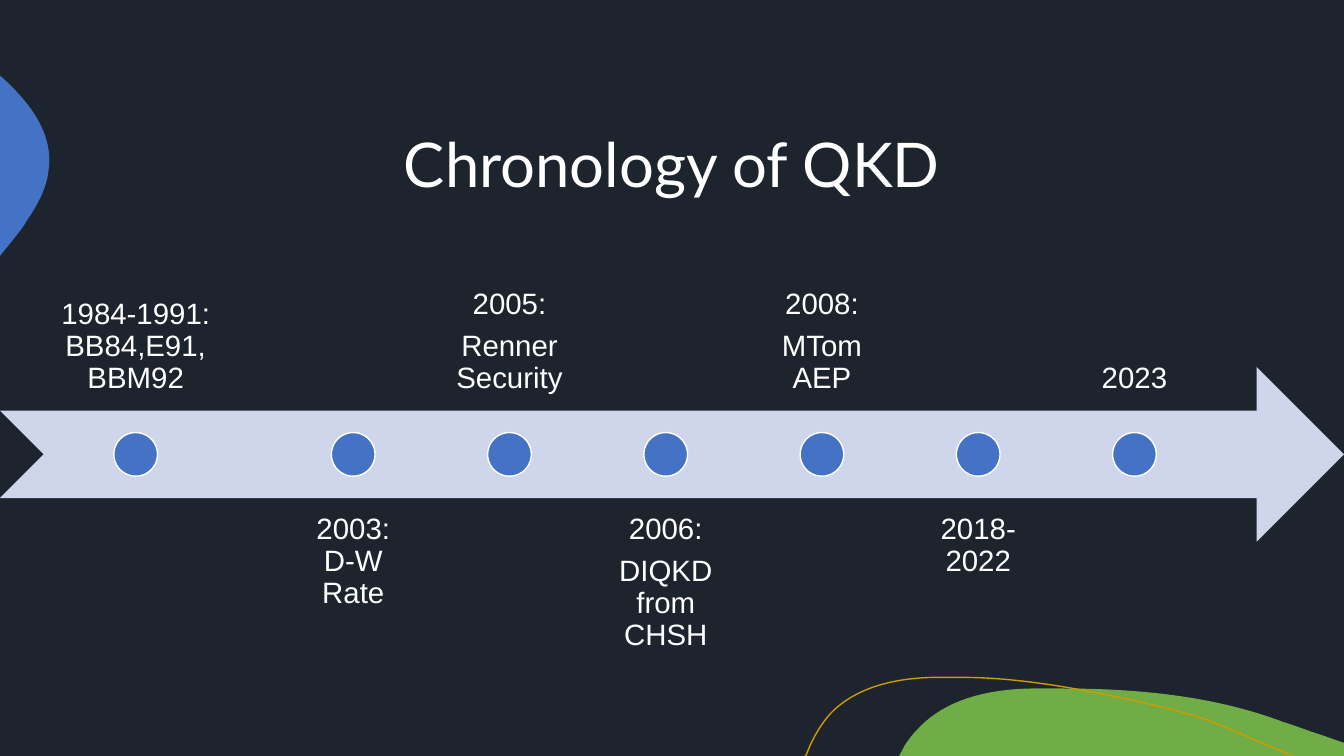
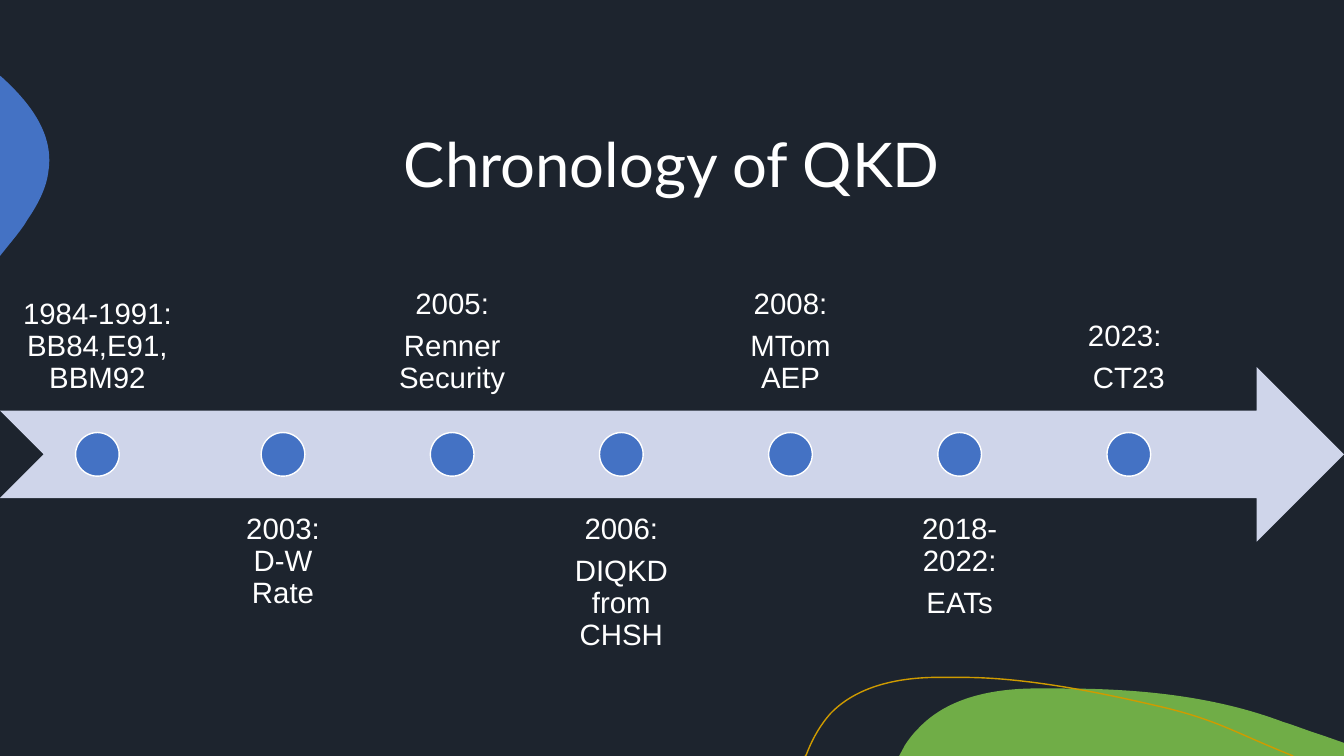
"""Build two timeline slides on the chronology of QKD."""
from lxml.etree import SubElement
from pptx import Presentation
from pptx.dml.color import RGBColor
from pptx.enum.shapes import MSO_SHAPE as Shape
from pptx.enum.text import MSO_ANCHOR as Anchor, PP_ALIGN as Align
from pptx.oxml.ns import qn
from pptx.util import Cm, Pt

NIGHT = RGBColor(0x1D, 0x24, 0x2E)
WHITE = RGBColor(0xFF, 0xFF, 0xFF)
BLUE = RGBColor(0x44, 0x72, 0xC4)
GREEN = RGBColor(0x70, 0xAD, 0x47)
GOLD = RGBColor(0xCF, 0x9B, 0x00)
PALE = RGBColor(0xCF, 0xD5, 0xEA)

GREEN_HILL = [
    (26.77, 17.35),
    (28.65, 17.35, 30.58, 17.53, 32.33, 18.19),
    (32.66, 18.29, 32.97, 18.42, 33.30, 18.52),
    (33.87, 18.72), (33.87, 19.05), (22.66, 19.05), (22.81, 18.77),
    (22.91, 18.62, 23.01, 18.49, 23.14, 18.36),
    (23.85, 17.60, 24.94, 17.37, 25.98, 17.35),
    (26.24, 17.35, 26.49, 17.35, 26.77, 17.35),
]
BLUE_BULGE = [
    (0, 1.91), (0.03, 1.93),
    (0.76, 2.59, 1.37, 3.38, 1.22, 4.32),
    (1.17, 4.75, 0.94, 5.18, 0.69, 5.54),
    (0.61, 5.69, 0.43, 5.92, 0.20, 6.20),
    (0, 6.45),
]
GOLD_CURVE = [
    (20.29, 19.05), (20.32, 19.02),
    (20.47, 18.62, 20.68, 18.26, 20.93, 17.98),
    (21.59, 17.30, 22.58, 17.09, 23.52, 17.07),
    (24.26, 17.07),
    (25.96, 17.07, 27.94, 17.50, 29.34, 17.83),
    (30.71, 18.16, 31.14, 18.47, 32.59, 19.05),
]
OUTLINES = [(GREEN_HILL, GREEN, None), (BLUE_BULGE, BLUE, None), (GOLD_CURVE, None, GOLD)]

ARROW_TOP, ARROW_HEIGHT = 9.25, 4.4
LABEL_TOPS = (5.95, 12.55)
DOT_SIZE = 1.1
DOT_TOP = ARROW_TOP + (ARROW_HEIGHT - DOT_SIZE) / 2
GAP_SHARE = 0.05

EARLY_EVENTS = [
    "1984-1991: BB84,E91,\vBBM92",
    "2003:\vD-W Rate",
    "2005:\nRenner Security",
    "2006:\nDIQKD from CHSH",
    "2008:\nMTom AEP",
]
TIMELINES = [
    (0, 6.84, 3.75, EARLY_EVENTS + ["2018-2022", "2023"]),
    (0.01, 4.89, 4.06, EARLY_EVENTS + ["2018-2022:\nEATs", "2023: \nCT23"]),
]


def paint(shape, fill, line):
    """Give a shape its fill and line colours, or none, without a shadow."""
    shape.shadow.inherit = False
    if fill is None:
        shape.fill.background()
    else:
        shape.fill.solid()
        shape.fill.fore_color.rgb = fill
    if line is None:
        shape.line.fill.background()
    else:
        shape.line.color.rgb = line
        shape.line.width = Pt(1)


def add_text(page, text, left, top, width, height, anchor, font, size, inset=0.25):
    """Add a centred white text box, measured in centimetres."""
    box = page.shapes.add_textbox(Cm(left), Cm(top), Cm(width), Cm(height))
    frame = box.text_frame
    frame.word_wrap = True
    frame.vertical_anchor = anchor
    frame.margin_left = frame.margin_right = Cm(inset)
    frame.margin_top = frame.margin_bottom = Cm(inset)
    frame.text = text
    for number, paragraph in enumerate(frame.paragraphs):
        paragraph.alignment = Align.CENTER
        paragraph.line_spacing = 0.9
        if number:
            paragraph.space_before = Pt(0.35 * size)
        for span in paragraph.runs:
            span.font.name = font
            span.font.size = Pt(size)
            span.font.color.rgb = WHITE


deck = Presentation()
deck.slide_width, deck.slide_height = Cm(33.87), Cm(19.05)
background = deck.slide_master.background.fill
background.solid()
background.fore_color.rgb = NIGHT
blank = deck.slide_layouts[6]
pages = [deck.slides.add_slide(blank) for timeline in TIMELINES]

for outline, fill, line in OUTLINES:
    ends = [(Cm(segment[-2]), Cm(segment[-1])) for segment in outline]
    builder = pages[0].shapes.build_freeform(*ends[0])
    builder.add_line_segments(ends[1:], close=fill is not None)
    shape = builder.convert_to_shape()
    paint(shape, fill, line)
    strokes = list(shape.element.iter(qn("a:lnTo")))
    for stroke, segment in zip(strokes, outline[1:]):
        if len(segment) == 6:
            curve = SubElement(stroke.getparent(), qn("a:cubicBezTo"))
            for x, y in zip(segment[::2], segment[1::2]):
                SubElement(curve, qn("a:pt"), x=str(Cm(x) - shape.left), y=str(Cm(y) - shape.top))
            stroke.getparent().replace(stroke, curve)
    blank.shapes.element.append(shape.element)

for page, (left, first_width, later_width, events) in zip(pages, TIMELINES):
    add_text(page, "Chronology of QKD", 2.12, 2.12, 29.63, 4.23, Anchor.MIDDLE, "Lato", 44)

    arrow = page.shapes.add_shape(
        Shape.NOTCHED_RIGHT_ARROW, 0, Cm(ARROW_TOP), deck.slide_width, Cm(ARROW_HEIGHT))
    paint(arrow, PALE, None)

    for number, event in enumerate(events):
        width = later_width if number else first_width
        below = number % 2
        anchor = Anchor.TOP if below else Anchor.BOTTOM
        add_text(page, event, left, LABEL_TOPS[below], width, ARROW_HEIGHT,
                 anchor, "Arial", 21, 0.41)
        dot = page.shapes.add_shape(
            Shape.OVAL, Cm(left + (width - DOT_SIZE) / 2), Cm(DOT_TOP), Cm(DOT_SIZE), Cm(DOT_SIZE))
        paint(dot, BLUE, WHITE)
        left += width + GAP_SHARE * later_width

deck.save("out.pptx")
